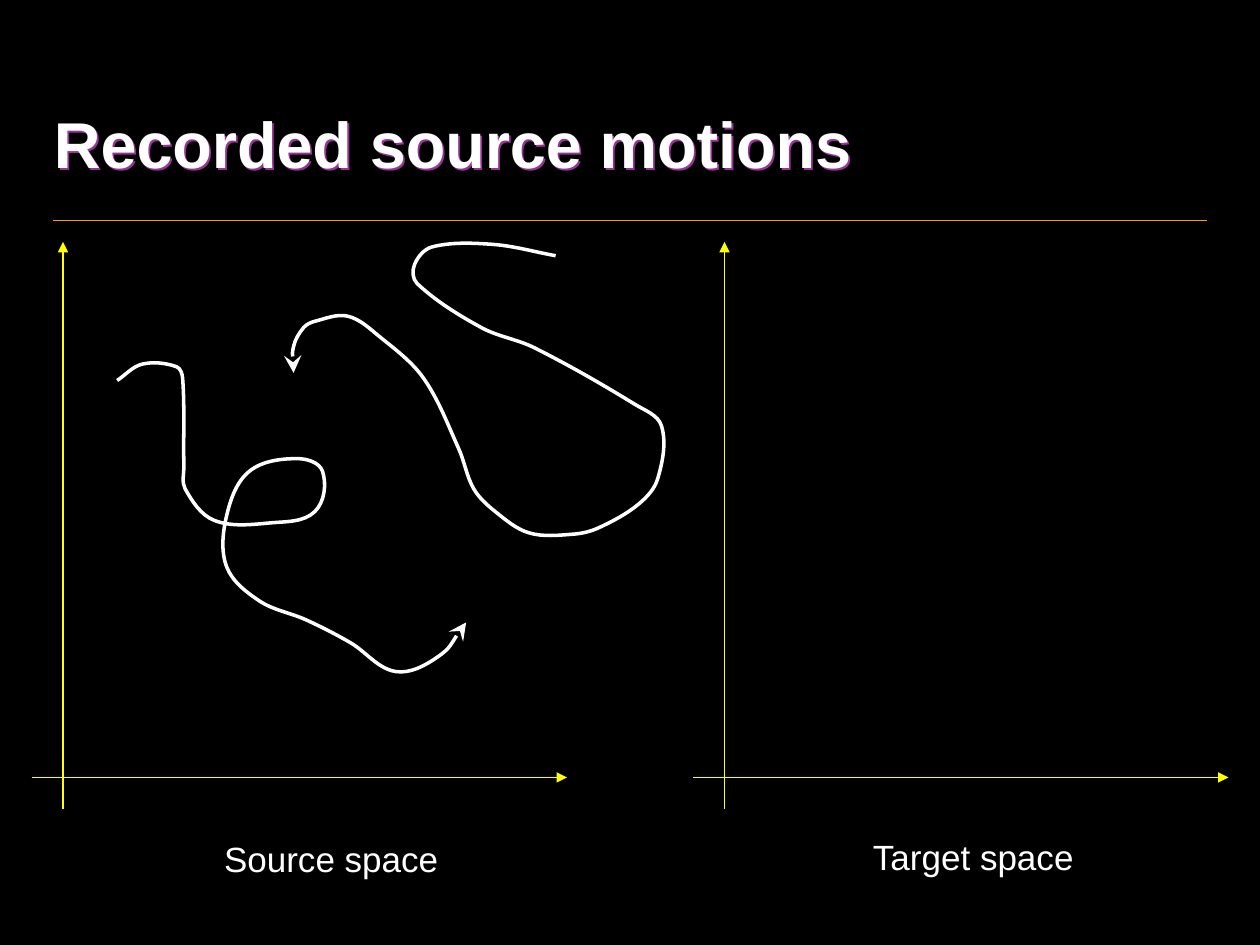
import math

import pptx
import pptx.dml.color
import pptx.enum.shapes
import pptx.enum.text
import pptx.oxml.ns
import pptx.util

Inches = pptx.util.Inches
Pt = pptx.util.Pt
RGBColor = pptx.dml.color.RGBColor

BLACK = RGBColor(0x00, 0x00, 0x00)
WHITE = RGBColor(0xFF, 0xFF, 0xFF)
YELLOW = RGBColor(0xFF, 0xFF, 0x00)
ORANGE = RGBColor(0xFF, 0x99, 0x00)
PURPLE = RGBColor(0x99, 0x33, 0x99)

TITLE = {"name": "Arial", "size": Pt(37), "bold": True}
LABEL = {"name": "Arial", "size": Pt(20), "bold": False}

RULE = {"color": ORANGE, "width": 1}
AXIS = {"color": YELLOW, "width": 0.75, "head": {"type": "triangle"}}
MOTION = {"color": WHITE, "width": 2,
          "head": {"type": "stealth", "w": "lg", "len": "lg"}}

# The axes cross here; the target space repeats the source space to the right.
SOURCE_X, TARGET_X, BASE_Y = 0.5, 5.75, 6.17
REACH_X, REACH_Y, STUB = 4, 4.25, 0.25

# A motion is a list of turning points, named by its parts.
HOOK = [(0.93, 3.02), (1.13, 2.89), (1.4, 2.91), (1.45, 3)]
DROP = [(1.46, 3.7), (1.47, 3.88), (1.7, 4.13)]
RING = [(2.15, 4.15), (2.5, 4.06), (2.56, 3.74), (2.36, 3.64),
        (1.98, 3.74), (1.8, 4.09), (1.8, 4.5)]
TAIL = [(2.06, 4.77), (2.43, 4.92), (2.78, 5.1), (3.14, 5.33),
        (3.48, 5.21), (3.7, 4.94)]

BEND = [(4.41, 2.03), (3.91, 1.94), (3.43, 1.96), (3.29, 2.1), (3.31, 2.25)]
SLOPE = [(3.82, 2.6), (4.24, 2.76), (5.04, 3.21), (5.25, 3.38)]
BOWL = [(5.22, 3.8), (5.07, 4), (4.75, 4.19), (4.55, 4.24), (4.2, 4.23),
        (3.93, 4.06), (3.76, 3.88)]
CLIMB = [(3.64, 3.56), (3.36, 3), (3.01, 2.67), (2.76, 2.51)]
CROOK = [(2.5, 2.55), (2.41, 2.6), (2.33, 2.75), (2.33, 2.96)]

MOTIONS = [HOOK + DROP + RING + TAIL, BEND + SLOPE + BOWL + CLIMB + CROOK]


def add_node(parent, tag, **attrs):
    child = parent.makeelement(pptx.oxml.ns.qn(tag), attrs)
    parent.append(child)
    return child


def set_line(shape, color, width, head=None):
    shape.line.color.rgb = color
    shape.line.width = Pt(width)
    if head:
        add_node(shape.line._get_or_add_ln(), "a:tailEnd", **head)


def add_line(shapes, start, end, style):
    kind = pptx.enum.shapes.MSO_CONNECTOR.STRAIGHT
    ends = [Inches(value) for value in (*start, *end)]
    line = shapes.add_connector(kind, *ends)
    set_line(line, **style)
    add_node(line._element.spPr, "a:effectLst")


def add_axes(shapes, x, y):
    """Draw a pair of axes that cross at x, y."""
    group = shapes.add_group_shape().shapes
    add_line(group, (x, y + STUB), (x, y - REACH_Y), AXIS)
    add_line(group, (x - STUB, y), (x + REACH_X, y), AXIS)


def smooth(points):
    """Return two control points and an end for each step of a smooth curve.

    The curve heads, at each point, from the point before to the point after;
    a control point lies a third of the step's length along that heading.
    """
    padded = [points[0], *points, points[-1]]
    heads = []
    for (left, top), (right, low) in zip(padded, padded[2:]):
        size = math.hypot(right - left, low - top)
        heads.append(((right - left) / size, (low - top) / size))
    spots = []
    for i, (start, end) in enumerate(zip(points, points[1:])):
        third = math.dist(start, end) / 3
        spots.append([a + third * h for a, h in zip(start, heads[i])])
        spots.append([b - third * h for b, h in zip(end, heads[i + 1])])
        spots.append(end)
    return spots


def add_curve(shapes, points, style):
    """Draw a smooth curve through the points."""
    spots = [(Inches(x), Inches(y)) for x, y in smooth(points)]
    form = shapes.build_freeform(*[Inches(value) for value in points[0]])
    form.add_line_segments(spots, close=False)
    shape = form.convert_to_shape()
    shape.fill.background()
    shape.shadow.inherit = False
    set_line(shape, **style)
    # Turn every three straight steps into one cubic step.
    track = shape._element.xpath(".//a:path")[0]
    steps = track.findall(pptx.oxml.ns.qn("a:lnTo"))
    for first in range(0, len(steps), 3):
        cubic = add_node(track, "a:cubicBezTo")
        for step in steps[first:first + 3]:
            cubic.append(step[0])
            track.remove(step)


def add_text(shapes, text, box, style, wrap=False):
    shape = shapes.add_textbox(*[Inches(value) for value in box])
    frame = shape.text_frame
    frame.word_wrap = wrap
    run = frame.paragraphs[0].add_run()
    run.text = text
    for key, value in style.items():
        setattr(run.font, key, value)
    run.font.color.rgb = WHITE
    return shape


def add_title(shapes, text):
    """Add the heading with its purple shadow."""
    shape = add_text(shapes, text, (0.33, 0.47, 7.67, 1.33), TITLE, True)
    shape.text_frame.vertical_anchor = pptx.enum.text.MSO_ANCHOR.MIDDLE
    effects = add_node(shape._element.spPr, "a:effectLst")
    shade = add_node(effects, "a:outerShdw", dist=str(Inches(0.02)),
                     dir="2700000", algn="ctr", rotWithShape="0")
    add_node(shade, "a:srgbClr", val=str(PURPLE))


def main():
    deck = pptx.Presentation()
    deck.slide_width = Inches(10)
    deck.slide_height = Inches(7.5)
    slide = deck.slides.add_slide(deck.slide_layouts[6])
    slide.background.fill.solid()
    slide.background.fill.fore_color.rgb = BLACK
    shapes = slide.shapes
    add_line(shapes, (0.42, 1.75), (9.58, 1.75), RULE)
    add_title(shapes, "Recorded source motions")
    for x in (SOURCE_X, TARGET_X):
        add_axes(shapes, x, BASE_Y)
    add_text(shapes, "Source space", (1.68, 6.6, 1.9, 0.44), LABEL)
    add_text(shapes, "Target space", (6.83, 6.58, 1.82, 0.44), LABEL)
    for points in MOTIONS:
        add_curve(shapes, points, MOTION)
    deck.save("out.pptx")


if __name__ == "__main__":
    main()
